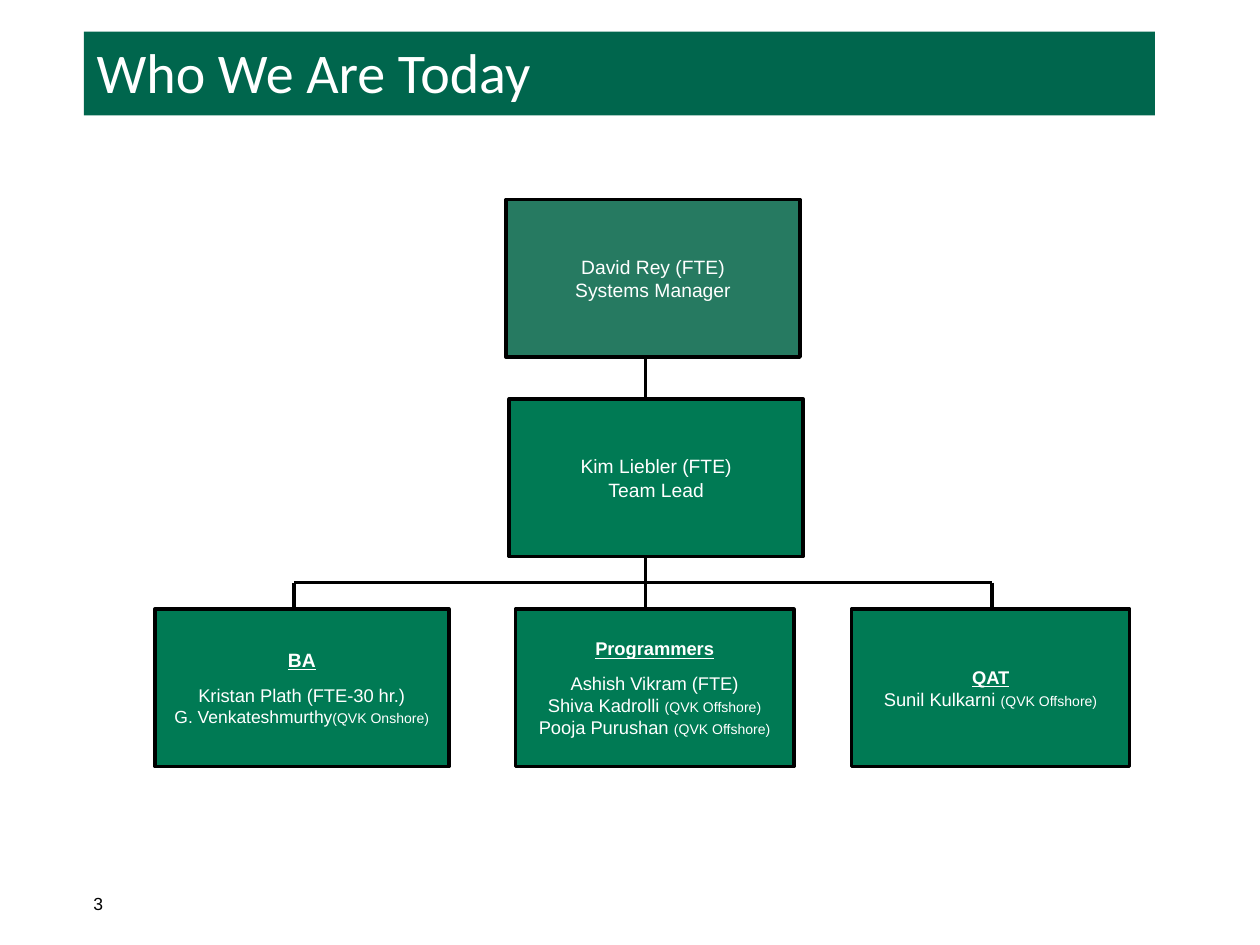
"""Build the team organisation chart slide."""
from dataclasses import dataclass

from lxml.etree import SubElement
from pptx import Presentation
from pptx.dml.color import RGBColor
from pptx.enum.shapes import MSO_CONNECTOR as Connector, MSO_SHAPE as Preset
from pptx.enum.text import MSO_ANCHOR as Anchor, MSO_AUTO_SIZE as AutoSize, PP_ALIGN as Align
from pptx.oxml.ns import qn
from pptx.slide import Slide
from pptx.util import Inches, Length, Pt


@dataclass(frozen=True)
class Theme:
    """Colours, fonts and type sizes of the slide."""
    banner: RGBColor = RGBColor.from_string("00664D")
    manager: RGBColor = RGBColor.from_string("267A61")
    team: RGBColor = RGBColor.from_string("007A54")
    light: RGBColor = RGBColor.from_string("FFFFFF")
    dark: RGBColor = RGBColor.from_string("000000")
    title_font: str = "Calibri"
    body_font: str = "Arial"
    title: float = 32
    role: float = 11
    member: float = 10.5
    small: float = 10
    note: float = 8
    heading_gap: float = 7
    line: float = 2


@dataclass(frozen=True)
class Area:
    """A place on the grid, in columns and rows."""
    column: float
    row: float
    columns: float
    rows: float


@dataclass(frozen=True)
class Phrase:
    """A stretch of text in one format."""
    text: str
    size: float
    heading: bool = False


@dataclass(frozen=True)
class Line:
    """One paragraph of a box."""
    phrases: tuple[Phrase, ...]
    gap: float = 0


@dataclass(frozen=True)
class Box:
    """One box of the chart."""
    area: Area
    fill: RGBColor
    lines: tuple[Line, ...]


@dataclass(frozen=True)
class Link:
    """A straight line between two grid points."""
    start: tuple[float, float]
    end: tuple[float, float]


THEME = Theme()
UNITS_PER_INCH = 12
LEFT, MIDDLE, RIGHT = 28, 61.5, 94.5
BOX_ROWS, WIDE, NARROW = 15, 28, 26.5
MANAGER_ROW, LEAD_ROW, TEAM_ROW = 19, 38, 58
BUS_ROW = 55.5


def units(count: float) -> Length:
    """Turn grid units into a length."""
    return Inches(count / UNITS_PER_INCH)


def bounds(area: Area) -> tuple[Length, Length, Length, Length]:
    """Give left, top, width and height of an area."""
    return units(area.column), units(area.row), units(area.columns), units(area.rows)


def plain(text: str, size: float = THEME.role, gap: float = 0) -> Line:
    """Make a line in one size."""
    return Line((Phrase(text, size),), gap)


def heading(text: str, size: float = THEME.member) -> Line:
    """Make an underlined bold line."""
    return Line((Phrase(text, size, True),))


def offsite(name: str, place: str, size: float = THEME.member) -> Line:
    """Make a line for a contractor with a small note."""
    return Line((Phrase(name, size), Phrase(f"(QVK {place})", THEME.note)))


def format_font(font, name: str, size: float, color: RGBColor) -> None:
    """Set the face, size and colour of a font."""
    font.name, font.size = name, Pt(size)
    font.color.rgb = color


def draw_title(slide: Slide, text: str, area: Area) -> None:
    """Place the title as a coloured banner."""
    title = slide.shapes.title
    title.left, title.top, title.width, title.height = bounds(area)
    title.fill.solid()
    title.fill.fore_color.rgb = THEME.banner
    frame = title.text_frame
    frame.text = text
    frame.auto_size, frame.vertical_anchor = AutoSize.NONE, Anchor.TOP
    frame.paragraphs[0].alignment = Align.LEFT
    format_font(frame.paragraphs[0].runs[0].font, THEME.title_font, THEME.title, THEME.light)


def draw_page_number(slide: Slide, text: str, area: Area) -> None:
    """Write the page number."""
    frame = slide.shapes.add_textbox(*bounds(area)).text_frame
    frame.word_wrap = True
    frame.text = text
    format_font(frame.paragraphs[0].runs[0].font, THEME.body_font, THEME.small, THEME.dark)


def draw_box(slide: Slide, box: Box) -> None:
    """Draw a box with its centred lines."""
    shape = slide.shapes.add_shape(Preset.RECTANGLE, *bounds(box.area))
    shape.shadow.inherit = False
    shape.fill.solid()
    shape.fill.fore_color.rgb = box.fill
    shape.line.color.rgb, shape.line.width = THEME.dark, Pt(THEME.line)
    frame = shape.text_frame
    frame.word_wrap, frame.vertical_anchor = True, Anchor.MIDDLE
    for index, line in enumerate(box.lines):
        paragraph = frame.add_paragraph() if index else frame.paragraphs[0]
        paragraph.alignment = Align.CENTER
        paragraph.space_before = Pt(line.gap)
        for phrase in line.phrases:
            run = paragraph.add_run()
            run.text = phrase.text
            format_font(run.font, THEME.body_font, phrase.size, THEME.light)
            run.font.bold = run.font.underline = phrase.heading


def draw_link(slide: Slide, link: Link) -> None:
    """Draw a line of the chart."""
    points = (units(value) for value in link.start + link.end)
    connector = slide.shapes.add_connector(Connector.STRAIGHT, *points)
    connector.line.color.rgb, connector.line.width = THEME.dark, Pt(THEME.line)
    SubElement(connector.element.spPr, qn("a:effectLst"))


BOXES = (
    Box(Area(48.2, MANAGER_ROW, WIDE, BOX_ROWS), THEME.manager,
        (plain("David Rey (FTE)"), plain("Systems Manager"))),
    Box(Area(48.5, LEAD_ROW, WIDE, BOX_ROWS), THEME.team,
        (plain("Kim Liebler (FTE)"), plain("Team Lead"))),
    Box(Area(14.75, TEAM_ROW, WIDE, BOX_ROWS), THEME.team,
        (heading("BA", THEME.role),
         plain("Kristan Plath (FTE-30 hr.)", THEME.member, THEME.heading_gap),
         offsite("G. Venkateshmurthy", "Onshore", THEME.small))),
    Box(Area(49.1, TEAM_ROW, NARROW, BOX_ROWS), THEME.team,
        (heading("Programmers"),
         plain("Ashish Vikram (FTE)", THEME.member, THEME.heading_gap),
         offsite("Shiva Kadrolli ", "Offshore"), offsite("Pooja Purushan ", "Offshore"))),
    Box(Area(81.1, TEAM_ROW, NARROW, BOX_ROWS), THEME.team,
        (heading("QAT"), offsite("Sunil Kulkarni ", "Offshore"))),
)
LINKS = (
    Link((MIDDLE, MANAGER_ROW + BOX_ROWS), (MIDDLE, LEAD_ROW)),
    Link((MIDDLE, LEAD_ROW + BOX_ROWS), (MIDDLE, TEAM_ROW)),
    *(Link((MIDDLE, BUS_ROW), (side, BUS_ROW)) for side in (LEFT, RIGHT)),
    *(Link((side, BUS_ROW), (side, TEAM_ROW)) for side in (LEFT, RIGHT)),
)


def main() -> None:
    """Build and save the slide."""
    presentation = Presentation()
    presentation.slide_width, presentation.slide_height = Inches(10), Inches(7.5)
    slide = presentation.slides.add_slide(presentation.slide_layouts.get_by_name("Title Only"))
    draw_title(slide, "Who We Are Today", Area(8, 3, 102, 8))
    draw_page_number(slide, "3", Area(7.7, 84.5, 22, 3.25))
    for box in BOXES:
        draw_box(slide, box)
    for link in LINKS:
        draw_link(slide, link)
    presentation.save("out.pptx")


main()
